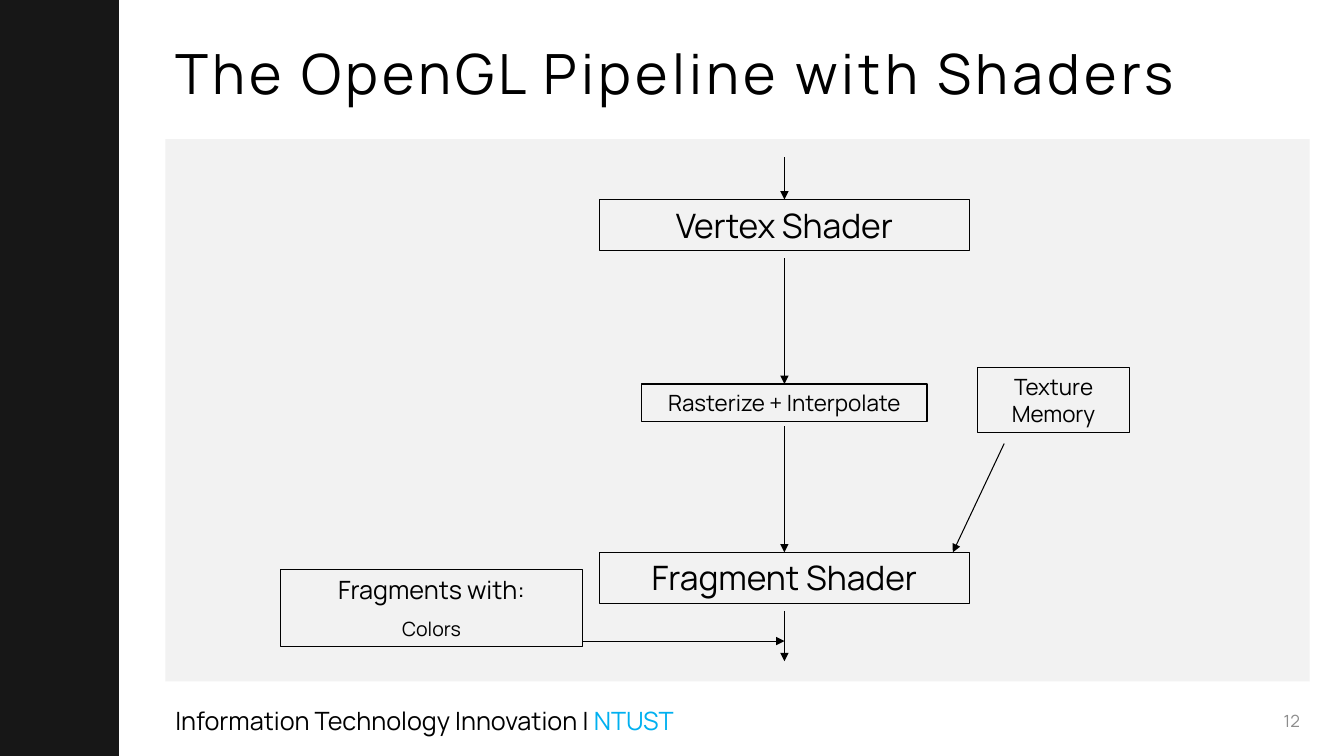
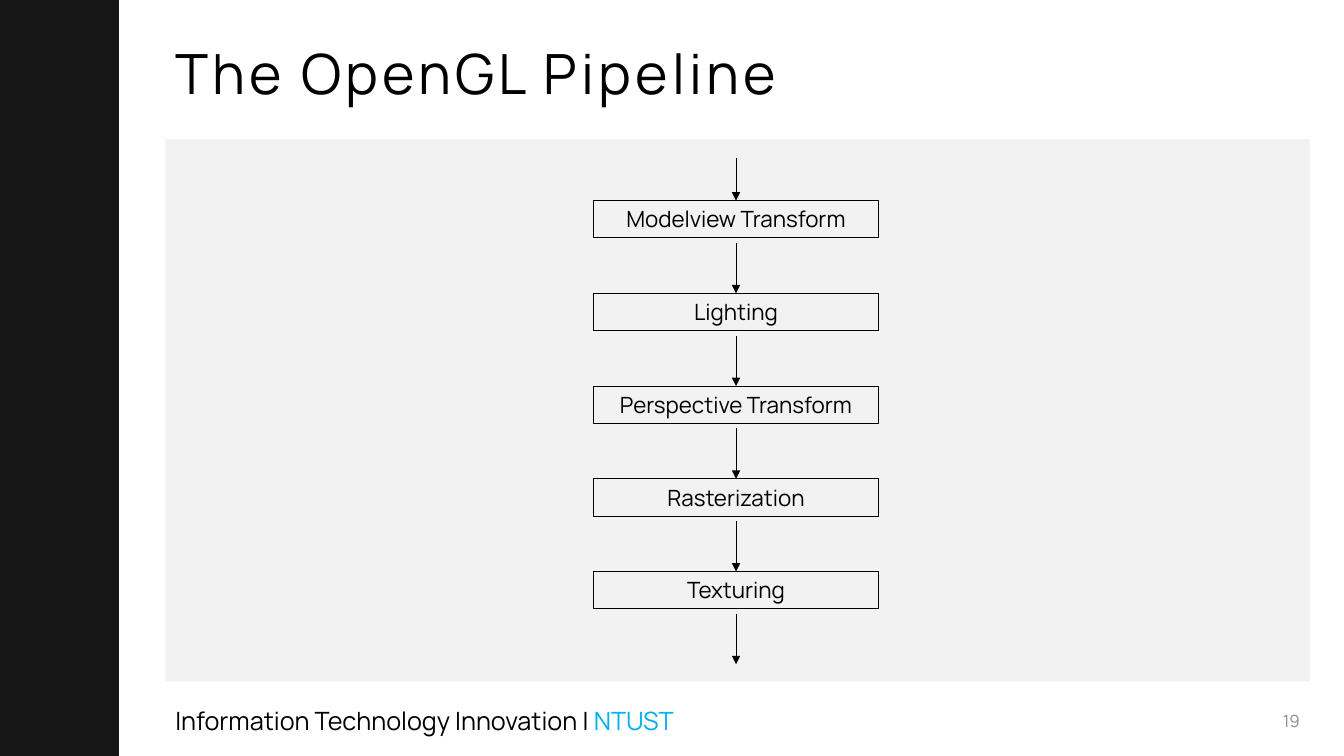
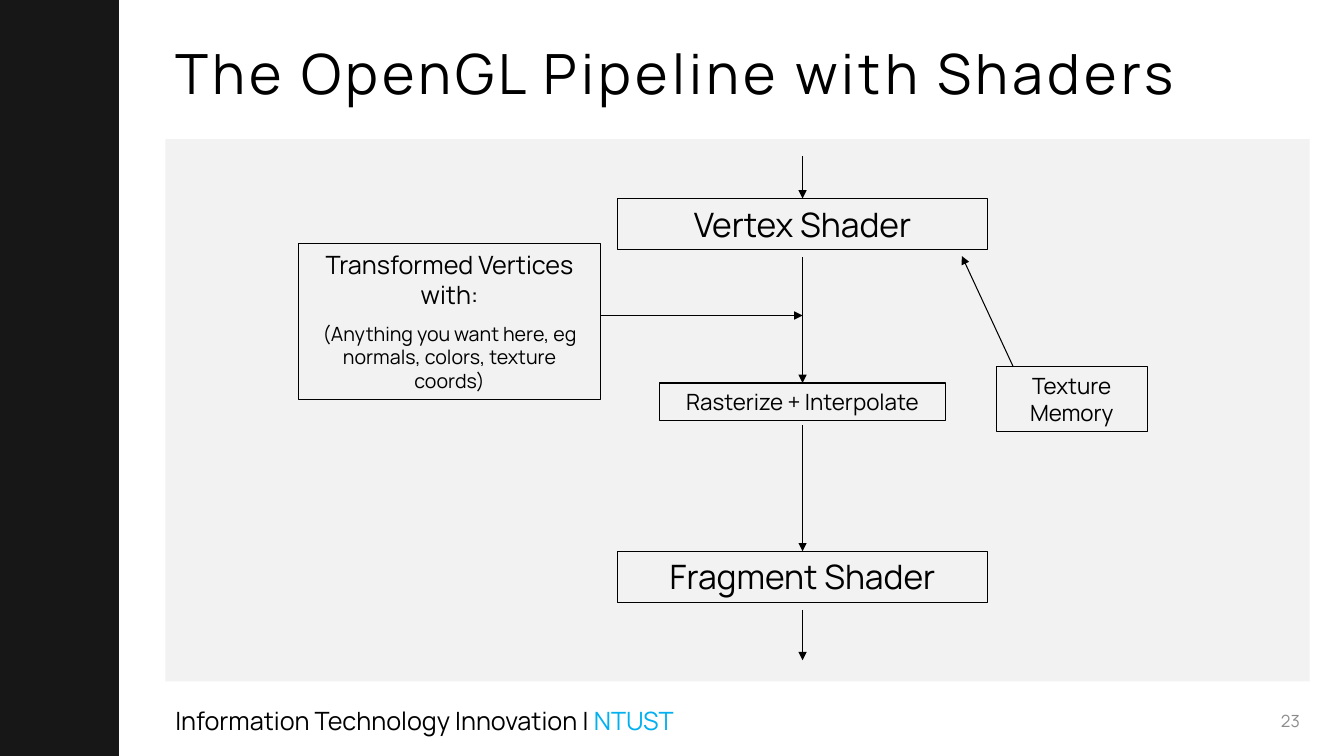
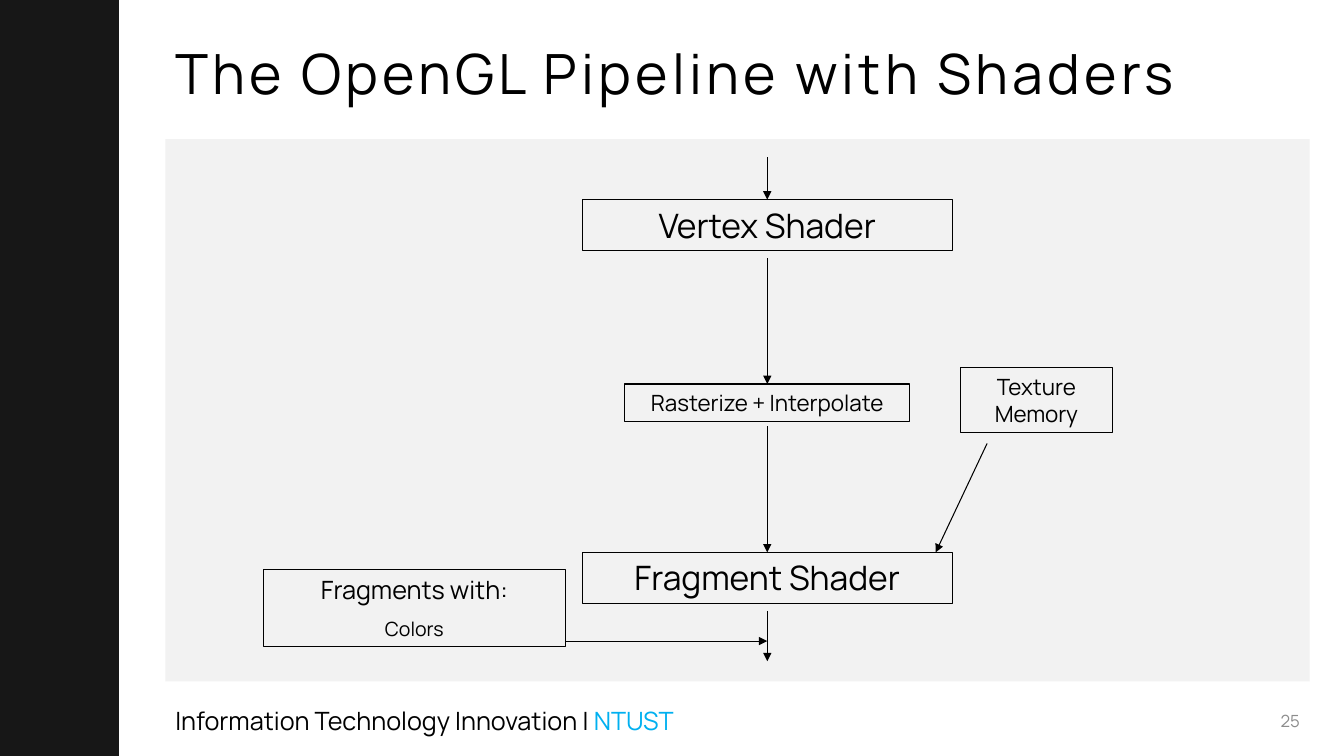
"""Build four slides on the OpenGL pipeline, with and without shaders."""
from lxml import etree
from pptx import Presentation
from pptx import util as u
from pptx.dml.color import RGBColor
from pptx.enum import shapes, text
from pptx.oxml.ns import qn

FONT = "Manrope"
BLACK, BAND, PANEL, ACCENT, MUTED = "000000", "171717", "F2F2F2", "00B0F0", "8C8C8C"
WIDTH, HEIGHT = 13.33, 7.5
LEFT, BODY_WIDTH = 1.64, 11.35
FOOTER_TOP, FOOTER_HEIGHT = 6.95, 0.4
NUMBER_WIDTH = 3

STAGE_LOOK = {24: (3.67, 0.51, 0.07), 16: (2.83, 0.37, 0.05)}
ENTRY, EXIT = 0.42, 0.5
NOTE_OFFSET, NOTE_WIDTH = -5, 3
MEMORY = (1.92, 1.67, 1.5, 0.64)

FIXED_TITLE = "The OpenGL Pipeline"
SHADER_TITLE = "The OpenGL Pipeline with Shaders"
FIXED_STAGES = ["Modelview Transform", "Lighting", "Perspective Transform",
                "Rasterization", "Texturing"]
FIXED_CENTER, FIXED_TOP, FIXED_PITCH = 7.3, 1.99, 0.92
SHADER_STAGES = [("Vertex Shader", 0, 24), ("Rasterize + Interpolate", 1.83, 16),
                 ("Fragment Shader", 3.5, 24)]

FRAGMENTS = {
    "lines": [("Fragments with:", 18), ("Colors", 14)],
    "top": 3.67, "height": 0.76, "arrow": 4.38,
    "lookup": ((2.18, 2.42), (1.67, 3.5)),
}
VERTICES = {
    "lines": [("Transformed Vertices with:", 18),
              ("(Anything you want here, eg normals, colors, texture coords)", 14)],
    "top": 0.45, "height": 1.54, "arrow": 1.16,
    "lookup": ((2.09, 1.67), (1.58, 0.57)),
}
SLIDES = [
    (12, SHADER_TITLE, (7.78, 1.98, FRAGMENTS)),
    (19, FIXED_TITLE, None),
    (23, SHADER_TITLE, (7.96, 1.97, VERTICES)),
    (25, SHADER_TITLE, (7.61, 1.98, FRAGMENTS)),
]


def color(code):
    return RGBColor.from_string(code)


def style(font, size, code=BLACK):
    font.name, font.size, font.color.rgb = FONT, u.Pt(size), color(code)


def inches(*lengths):
    return [u.Inches(length) for length in lengths]


def rectangle(slide, left, top, width, height, fill=None):
    box = slide.shapes.add_shape(shapes.MSO_SHAPE.RECTANGLE,
                                 *inches(left, top, width, height))
    box.shadow.inherit = False
    if fill:
        box.fill.solid()
        box.fill.fore_color.rgb = color(fill)
        box.line.fill.background()
    else:
        box.fill.background()
        box.line.color.rgb = color(BLACK)
        box.line.width = u.Pt(0.75)
    return box


def label_box(slide, left, top, width, height, lines):
    box = rectangle(slide, left, top, width, height)
    frame = box.text_frame
    frame.word_wrap = True
    frame.vertical_anchor = text.MSO_ANCHOR.TOP
    for index, (words, size) in enumerate(lines):
        paragraph = frame.add_paragraph() if index else frame.paragraphs[0]
        paragraph.text = words
        paragraph.alignment = text.PP_ALIGN.CENTER
        if index:
            paragraph.space_before = u.Pt(8.8)
        style(paragraph.font, size)
    return box


def arrow(slide, start, end, target=None):
    line = slide.shapes.add_connector(shapes.MSO_CONNECTOR.STRAIGHT,
                                      *inches(*start, *end))
    if target is not None:
        line.end_connect(target, 0)
    line.line.color.rgb = color(BLACK)
    line.line.width = u.Pt(0.75)
    etree.SubElement(line.line._get_or_add_ln(), qn("a:tailEnd"), type="triangle")
    etree.SubElement(line.element.spPr, qn("a:effectLst"))


def pipeline(slide, center, stages):
    start = stages[0][1] - ENTRY
    for words, top, size in stages:
        width, height, gap = STAGE_LOOK[size]
        stage = label_box(slide, center - width / 2, top, width, height, [(words, size)])
        arrow(slide, (center, start), (center, top), stage)
        start = top + height + gap
    arrow(slide, (center, start), (center, start + EXIT))


def shader_pipeline(slide, center, top, note):
    pipeline(slide, center, [(words, top + drop, size)
                             for words, drop, size in SHADER_STAGES])
    note_left = center + NOTE_OFFSET
    label_box(slide, note_left, top + note["top"], NOTE_WIDTH, note["height"], note["lines"])
    arrow_top = top + note["arrow"]
    arrow(slide, (note_left + NOTE_WIDTH, arrow_top), (center, arrow_top))
    across, drop, width, height = MEMORY
    label_box(slide, center + across, top + drop, width, height, [("Texture Memory", 16)])
    arrow(slide, *[(center + x, top + y) for x, y in note["lookup"]])


def fixed_pipeline(slide):
    pipeline(slide, FIXED_CENTER, [(words, FIXED_TOP + row * FIXED_PITCH, 16)
                                   for row, words in enumerate(FIXED_STAGES)])


def dress_layout(layout, slide):
    panel = rectangle(slide, LEFT, 1.38, BODY_WIDTH, 5.38, PANEL)
    band = rectangle(slide, 0, 0, 1.18, HEIGHT, BAND)
    footer = slide.shapes.add_textbox(*inches(LEFT, FOOTER_TOP, 5.6, FOOTER_HEIGHT))
    footer.text_frame.word_wrap = True
    paragraph = footer.text_frame.paragraphs[0]
    for words, code in [("Information Technology Innovation | ", BLACK), ("NTUST", ACCENT)]:
        run = paragraph.add_run()
        run.text = words
        style(run.font, 18, code)
    for place, part in enumerate([panel, band, footer], 2):
        layout.shapes.element.insert(place, part.element)


def set_title(slide, words):
    title = slide.shapes.title
    title.left, title.top, title.width, title.height = inches(LEFT, 0.4, BODY_WIDTH, 0.72)
    frame = title.text_frame
    frame.text = words
    frame.word_wrap = True
    frame.auto_size = text.MSO_AUTO_SIZE.NONE
    frame.vertical_anchor = text.MSO_ANCHOR.MIDDLE
    paragraph = frame.paragraphs[0]
    paragraph.alignment = text.PP_ALIGN.LEFT
    paragraph.line_spacing = 0.9
    style(paragraph.font, 39.6)
    paragraph.runs[0]._r.get_or_add_rPr().set("spc", "300")


def set_number(slide, number):
    box = slide.shapes.add_textbox(*inches(LEFT + BODY_WIDTH - NUMBER_WIDTH, FOOTER_TOP,
                                           NUMBER_WIDTH, FOOTER_HEIGHT))
    frame = box.text_frame
    frame.word_wrap = True
    frame.vertical_anchor = text.MSO_ANCHOR.MIDDLE
    paragraph = frame.paragraphs[0]
    paragraph.text = str(number)
    paragraph.alignment = text.PP_ALIGN.RIGHT
    style(paragraph.font, 12, MUTED)


def main():
    deck = Presentation()
    deck.slide_width, deck.slide_height = inches(WIDTH, HEIGHT)
    layout = deck.slide_layouts[5]
    for index, (number, title, shader) in enumerate(SLIDES):
        slide = deck.slides.add_slide(layout)
        if index == 0:
            dress_layout(layout, slide)
        set_title(slide, title)
        set_number(slide, number)
        if shader:
            shader_pipeline(slide, *shader)
        else:
            fixed_pipeline(slide)
    deck.save("out.pptx")


if __name__ == "__main__":
    main()
